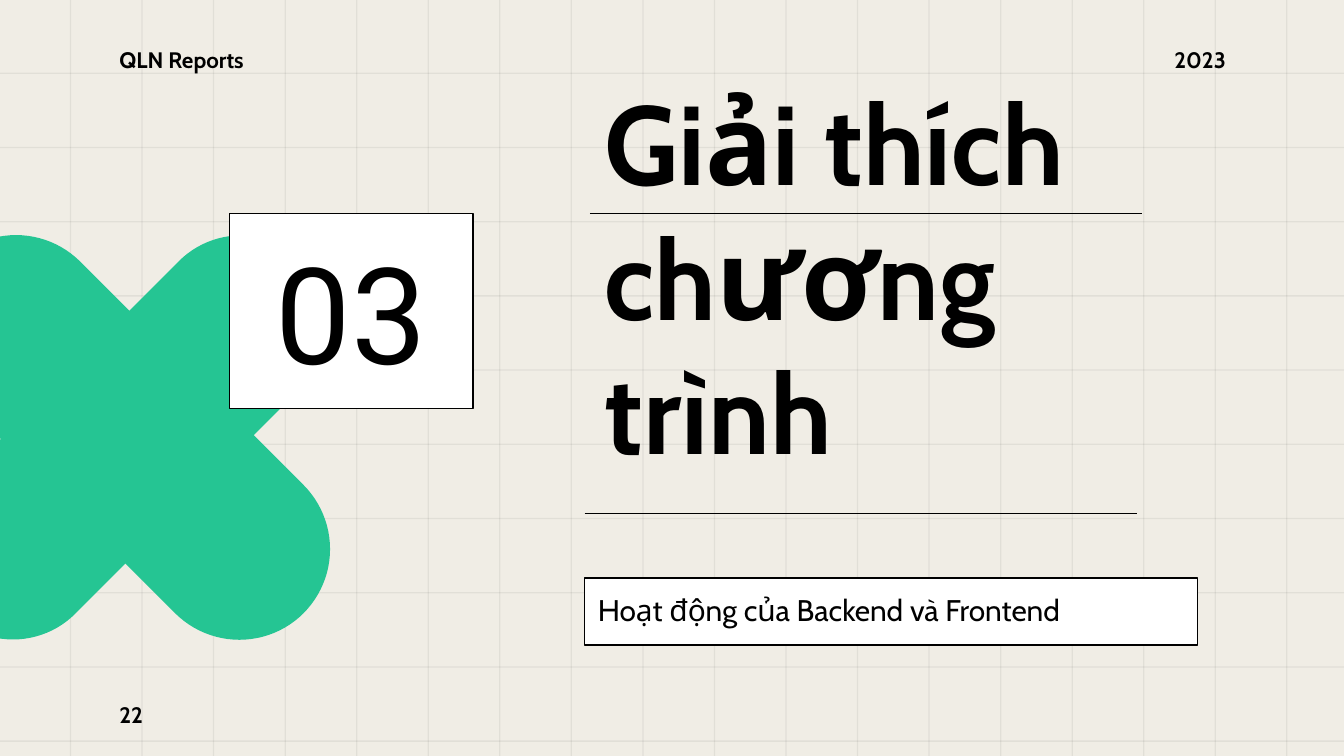
from dataclasses import dataclass

import pptx
import pptx.dml.color
import pptx.enum.shapes
import pptx.enum.text
import pptx.oxml
import pptx.oxml.ns
import pptx.util

Inches = pptx.util.Inches
Shape = pptx.enum.shapes.MSO_SHAPE
Anchor = pptx.enum.text.MSO_ANCHOR
Align = pptx.enum.text.PP_ALIGN

BLACK = "000000"
WHITE = "FFFFFF"
GREEN = "25C593"
CREAM = "F0EDE5"


@dataclass
class Area:
    left: float
    top: float
    width: float
    height: float

    def lengths(self) -> tuple:
        return tuple(Inches(v) for v in (self.left, self.top, self.width, self.height))


@dataclass
class Label:
    text: str
    area: Area
    size: int
    font: str = "Cabin"
    bold: bool = True
    align: Align = Align.LEFT
    anchor: Anchor = Anchor.TOP
    framed: bool = False


@dataclass
class Rule:
    left: float
    top: float
    width: float = 4.11


LABELS = [
    Label("03", Area(1.71, 1.59, 1.81, 1.45), 72, "Roboto", False,
          Align.CENTER, Anchor.MIDDLE, True),
    Label("Hoạt động của Backend và Frontend", Area(4.35, 4.3, 4.56, 0.5), 16,
          bold=False, framed=True),
    Label("Giải thích chương trình", Area(4.4, 1.97, 4.82, 1.68), 60, anchor=Anchor.BOTTOM),
    Label("22", Area(0.79, 5.1, 0.6, 0.43), 12, anchor=Anchor.MIDDLE),
    Label("QLN Reports", Area(0.79, 0.24, 2.31, 0.34), 12),
    Label("2023", Area(6.91, 0.24, 2.31, 0.34), 12, align=Align.RIGHT),
]
RULES = [Rule(4.39, 1.59), Rule(4.35, 3.82)]
PETALS = [Area(0.29, 1.4, 1.31, 3.71), Area(-0.9, 2.58, 3.7, 1.35)]


def paint(target, color: str) -> None:
    target.solid()
    target.fore_color.rgb = pptx.dml.color.RGBColor.from_string(color)


def add_block(page, kind: Shape, area: Area, color: str):
    shape = page.shapes.add_shape(kind, *area.lengths())
    shape.shadow.inherit = False
    paint(shape.fill, color)
    shape.line.fill.background()
    return shape


def add_grid_line(page, area: Area) -> None:
    shape = add_block(page, Shape.RECTANGLE, area, BLACK)
    color = shape.fill._xPr.find(".//" + pptx.oxml.ns.qn("a:srgbClr"))
    alpha = pptx.oxml.parse_xml(f'<a:alpha {pptx.oxml.ns.nsdecls("a")} val="6000"/>')
    color.append(alpha)


def add_grid(page) -> None:
    for column in range(18):
        add_grid_line(page, Area(0.52 + column * 9.05 / 17, -0.05, 0.01, 5.73))
    for row in range(10):
        add_grid_line(page, Area(-0.1, 0.54 + row * 4.97 / 9, 10.2, 0.01))


def add_petal(page, area: Area) -> None:
    petal = add_block(page, Shape.ROUNDED_RECTANGLE, area, GREEN)
    petal.adjustments[0] = 0.5
    petal.rotation = 45


def add_label(page, label: Label) -> None:
    if label.framed:
        box = add_block(page, Shape.RECTANGLE, label.area, WHITE)
        paint(box.line.fill, BLACK)
        box.line.width = pptx.util.Pt(0.75)
    else:
        box = page.shapes.add_textbox(*label.area.lengths())
    frame = box.text_frame
    frame.word_wrap = True
    frame.vertical_anchor = label.anchor
    frame.margin_left = frame.margin_right = Inches(0.1)
    frame.margin_top = frame.margin_bottom = Inches(0.1)
    para = frame.paragraphs[0]
    para.alignment = label.align
    span = para.add_run()
    span.text = label.text
    span.font.name = label.font
    span.font.size = pptx.util.Pt(label.size)
    span.font.bold = label.bold
    paint(span.font.fill, BLACK)


def add_rule(page, rule: Rule) -> None:
    left, top, width = (Inches(v) for v in (rule.left, rule.top, rule.width))
    line = page.shapes.add_connector(
        pptx.enum.shapes.MSO_CONNECTOR.STRAIGHT, left, top, left + width, top)
    paint(line.line.fill, BLACK)
    line.line.width = pptx.util.Pt(0.75)
    effects = pptx.oxml.parse_xml(f'<a:effectLst {pptx.oxml.ns.nsdecls("a")}/>')
    line._element.spPr.append(effects)


def main() -> None:
    deck = pptx.Presentation()
    deck.slide_width = Inches(10)
    deck.slide_height = Inches(10 * 9 / 16)
    page = deck.slides.add_slide(deck.slide_layouts[6])
    paint(page.background.fill, CREAM)
    add_grid(page)
    for petal in PETALS:
        add_petal(page, petal)
    for label in LABELS:
        add_label(page, label)
    for rule in RULES:
        add_rule(page, rule)
    deck.save("out.pptx")


if __name__ == "__main__":
    main()
